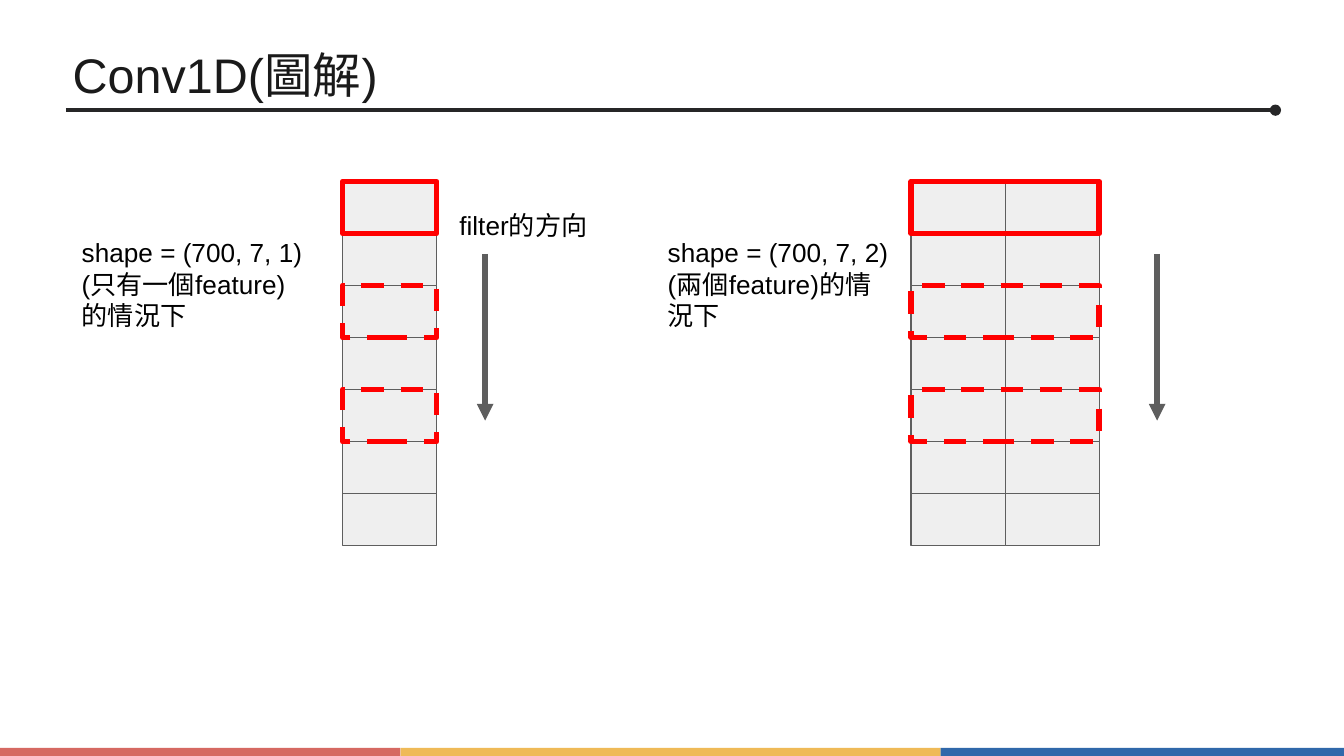
from lxml import etree
from pptx import Presentation
from pptx.dml.color import RGBColor
from pptx.enum.dml import MSO_LINE
from pptx.enum.shapes import MSO_CONNECTOR, MSO_SHAPE
from pptx.enum.text import MSO_ANCHOR, MSO_AUTO_SIZE, PP_ALIGN
from pptx.oxml.ns import qn
from pptx.util import Inches, Pt

RECT, STRAIGHT, DASH = MSO_SHAPE.RECTANGLE, MSO_CONNECTOR.STRAIGHT, MSO_LINE.DASH
LEFT, TOP, MIDDLE = PP_ALIGN.LEFT, MSO_ANCHOR.TOP, MSO_ANCHOR.MIDDLE
NO_FIT = MSO_AUTO_SIZE.NONE

COLORS = {
    "red_bar": "D66962", "yellow_bar": "EFBA57", "blue_bar": "3068AA",
    "rule": "262627", "title": "1A1A1A", "text": "000000",
    "cell": "EFEFEF", "edge": "5E5E5E", "filter": "FF0000",
}
FONT = "Arial"
SLIDE_W = 10
SLIDE_H = SLIDE_W * 9 / 16
ROWS = 7
CELL_W, CELL_H = 0.7, 2.71 / ROWS
GRID_TOP = 1.35
FILTER_ROWS = {0: None, 2: DASH, 4: DASH}   # start position solid, later ones dashed


def color(name):
    return RGBColor.from_string(COLORS[name])


def inches(box):
    return [Inches(length) for length in box]


def set_line(line, name, width, dash=None):
    line.color.rgb = color(name)
    line.width = Pt(width)
    if dash:
        line.dash_style = dash


def add_box(slide, box, fill=None, edge=None, width=0.75, dash=None):
    shape = slide.shapes.add_shape(RECT, *inches(box))
    shape.shadow.inherit = False
    if fill:
        shape.fill.solid()
        shape.fill.fore_color.rgb = color(fill)
    else:
        shape.fill.background()
    if edge:
        set_line(shape.line, edge, width, dash)
        etree.SubElement(shape.line._get_or_add_ln(), qn("a:round"))
    else:
        shape.line.fill.background()


def add_line(slide, ends, name, width, tail):
    connector = slide.shapes.add_connector(STRAIGHT, *inches(ends))
    set_line(connector.line, name, width)
    etree.SubElement(connector.line._get_or_add_ln(), qn("a:tailEnd"), type=tail)
    etree.SubElement(connector._element.spPr, qn("a:effectLst"))


def write_text(frame, paragraphs, size, name, inset, anchor):
    settings = {"word_wrap": True, "auto_size": NO_FIT, "vertical_anchor": anchor}
    for side in ("left", "right", "top", "bottom"):
        settings["margin_" + side] = Inches(inset)
    for key, value in settings.items():
        setattr(frame, key, value)
    frame.text = "\n".join(paragraphs)
    for paragraph in frame.paragraphs:
        paragraph.alignment = LEFT
        for run in paragraph.runs:
            for key, value in {"name": FONT, "size": Pt(size)}.items():
                setattr(run.font, key, value)
            run.font.color.rgb = color(name)


def add_label(slide, box, paragraphs):
    label = slide.shapes.add_textbox(*inches(box))
    write_text(label.text_frame, paragraphs, 14, "text", 0.1, TOP)


def add_footer(slide, top, height):
    """Three bars side by side across the slide's width."""
    left = 0
    for name, share in (("red_bar", 0.298), ("yellow_bar", 0.402), ("blue_bar", 0.3)):
        width = share * SLIDE_W
        add_box(slide, (left, top, width, height), fill=name)
        left += width


def add_header(slide, box, text):
    """Title with a dotted rule below it."""
    add_line(slide, (0.49, 0.82, 9.49, 0.82), "rule", 2, "oval")
    title = slide.shapes.title
    title.left, title.top, title.width, title.height = inches(box)
    write_text(title.text_frame, [text], 26, "title", 0.03, MIDDLE)


def add_convolution(slide, left, top, features, label_left, arrow_x, paragraphs):
    """Grid of features, its filter positions, direction arrow and label."""
    add_label(slide, (label_left, top + 0.31, 1.86, 0.85), paragraphs)
    for column in range(features):
        for row in range(ROWS):
            cell = (left + column * CELL_W, top + row * CELL_H, CELL_W, CELL_H)
            add_box(slide, cell, "cell", "edge")
    for row, dash in FILTER_ROWS.items():
        window = (left, top + row * CELL_H, features * CELL_W, CELL_H)
        add_box(slide, window, edge="filter", width=3, dash=dash)
    add_line(slide, (arrow_x, top + 0.54, arrow_x, top + 1.78), "edge", 3, "triangle")


def main():
    presentation = Presentation()
    presentation.slide_width, presentation.slide_height = inches((SLIDE_W, SLIDE_H))
    slide = presentation.slides.add_slide(presentation.slide_layouts[5])

    add_footer(slide, SLIDE_H - 0.06, 0.06)
    add_header(slide, (0.51, 0.24, 6.4, 0.62), "Conv1D(圖解)")

    # One feature on the left, two on the right
    add_convolution(slide, 2.55, GRID_TOP, 1, 0.51, 3.61,
                    ["shape = (700, 7, 1)", "(只有一個feature)的情況下"])
    add_label(slide, (3.32, 1.46, 1.26, 0.44), ["filter的方向"])
    add_convolution(slide, 6.78, GRID_TOP, 2, 4.87, 8.61,
                    ["shape = (700, 7, 2)", "(兩個feature)的情況下"])

    presentation.save("out.pptx")


if __name__ == "__main__":
    main()
